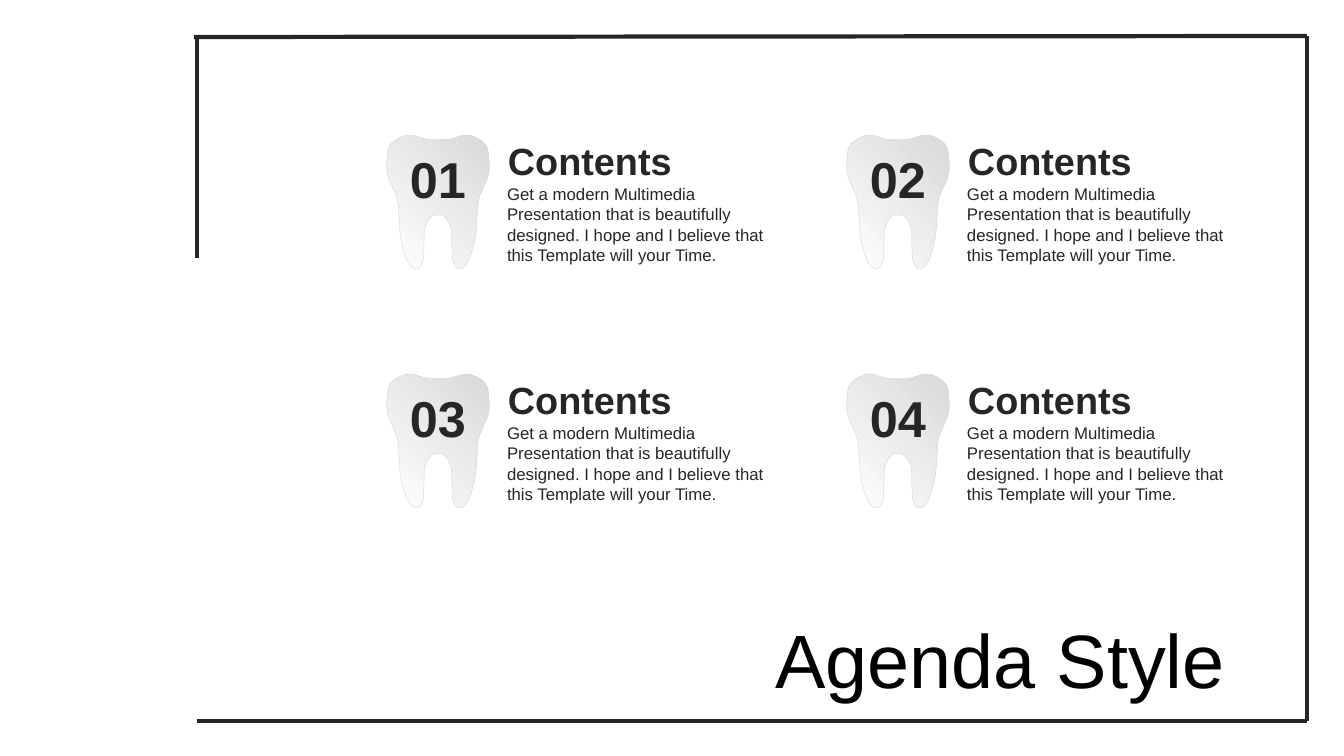
import pptx
import pptx.util
import pptx.dml.color
import pptx.enum.shapes
import pptx.enum.text
import pptx.oxml
import pptx.oxml.ns

DARK = pptx.dml.color.RGBColor(0x26, 0x26, 0x26)
BLACK = pptx.dml.color.RGBColor(0, 0, 0)
WHITE = pptx.dml.color.RGBColor(255, 255, 255)
GRAY = pptx.dml.color.RGBColor(0xD9, 0xD9, 0xD9)

TITLE = "Agenda Style"
BODY = ("Get a modern Multimedia Presentation that is beautifully designed. "
        "I hope and I believe that this Template will your Time.")
ITEMS = [("01", "Contents", BODY), ("02", "Contents", BODY),
         ("03", "Contents", BODY), ("04", "Contents", BODY)]
FRAME = [(194, 37, 1307, 36), (197, 721, 1307, 721),
         (1307, 36, 1307, 721), (197, 36, 197, 258)]
HALF = [(0, 5), (13, 4), (30, 0), (47, 9), (51, 25), (50, 41), (41, 63),
        (39, 82), (37, 104), (30, 127), (21, 134), (15, 126), (14, 109),
        (13, 92), (6, 81), (0, 80)]
COLS, STEP_X, STEP_Y = 2, 460, 239
LEFT, CENTER, RIGHT = (pptx.enum.text.PP_ALIGN.LEFT,
                       pptx.enum.text.PP_ALIGN.CENTER,
                       pptx.enum.text.PP_ALIGN.RIGHT)


def px(n):
    return round(n * 914400 / 100.8)


def add_text(slide, text, box, size, color=DARK, bold=False, align=LEFT, side=10):
    shape = slide.shapes.add_textbox(*map(px, box))
    frame = shape.text_frame
    frame.word_wrap = True
    frame.auto_size = pptx.enum.text.MSO_AUTO_SIZE.SHAPE_TO_FIT_TEXT
    frame.margin_left = frame.margin_right = px(side)
    frame.text = text
    para = frame.paragraphs[0]
    para.alignment = align
    para.font.name = "Arial"
    para.font.size = pptx.util.Pt(size)
    para.font.bold = bold
    para.font.color.rgb = color
    return frame


def curve(shape, pts):
    qn = pptx.oxml.ns.qn
    lines = list(shape._element.iter(qn("a:lnTo")))
    left, top = min(x for x, y in pts), min(y for x, y in pts)
    count = len(pts)
    for i, line in enumerate(lines):
        a, b, c, d = (pts[(i + k) % count] for k in (-1, 0, 1, 2))
        ends = [(b[0] + (c[0] - a[0]) / 6, b[1] + (c[1] - a[1]) / 6),
                (c[0] - (d[0] - b[0]) / 6, c[1] - (d[1] - b[1]) / 6), c]
        line.tag = qn("a:cubicBezTo")
        for pt in list(line):
            line.remove(pt)
        for x, y in ends:
            pt = line.makeelement(qn("a:pt"), {"x": str(px(x - left)),
                                               "y": str(px(y - top))})
            line.append(pt)


def add_tooth(slide, mid, top):
    pts = HALF + [(-x, y) for x, y in HALF[-2:0:-1]]
    pts = [(mid + x, top + y) for x, y in pts]
    spots = [(px(x), px(y)) for x, y in pts]
    form = slide.shapes.build_freeform(*spots[0])
    form.add_line_segments(spots[1:] + spots[:1], close=True)
    tooth = form.convert_to_shape()
    curve(tooth, pts)
    tooth.shadow.inherit = False
    tooth.fill.gradient()
    tooth.fill.gradient_angle = 45
    for stop, color in zip(tooth.fill.gradient_stops, (WHITE, GRAY)):
        stop.color.rgb = color
    tooth.line.color.rgb = GRAY
    tooth.line.width = pptx.util.Pt(0.32)


def add_line(slide, ends):
    line = slide.shapes.add_connector(
        pptx.enum.shapes.MSO_CONNECTOR.STRAIGHT, *map(px, ends))
    line.line.color.rgb = DARK
    line.line.width = pptx.util.Pt(3)
    props = line._element.spPr
    props.append(props.makeelement(pptx.oxml.ns.qn("a:effectLst"), {}))


def main():
    deck = pptx.Presentation()
    deck.slide_width, deck.slide_height = px(1344), px(756)
    slide = deck.slides.add_slide(deck.slide_layouts[6])
    for i, (num, head, body) in enumerate(ITEMS):
        row, col = divmod(i, COLS)
        x, y = col * STEP_X, row * STEP_Y
        add_tooth(slide, 438 + x, 135 + y)
        add_text(slide, body, (497 + x, 179 + y, 278, 92), 12)
        add_text(slide, head, (496 + x, 133 + y, 278, 56), 27, bold=True, side=12)
        add_text(slide, num, (385 + x, 143 + y, 106, 72), 36, bold=True,
                 align=CENTER, side=12)
    title = add_text(slide, TITLE, (756, 607, 479, 102), 54, BLACK, align=RIGHT)
    title.vertical_anchor = pptx.enum.text.MSO_ANCHOR.MIDDLE
    for ends in FRAME:
        add_line(slide, ends)
    deck.save("out.pptx")


if __name__ == "__main__":
    main()
